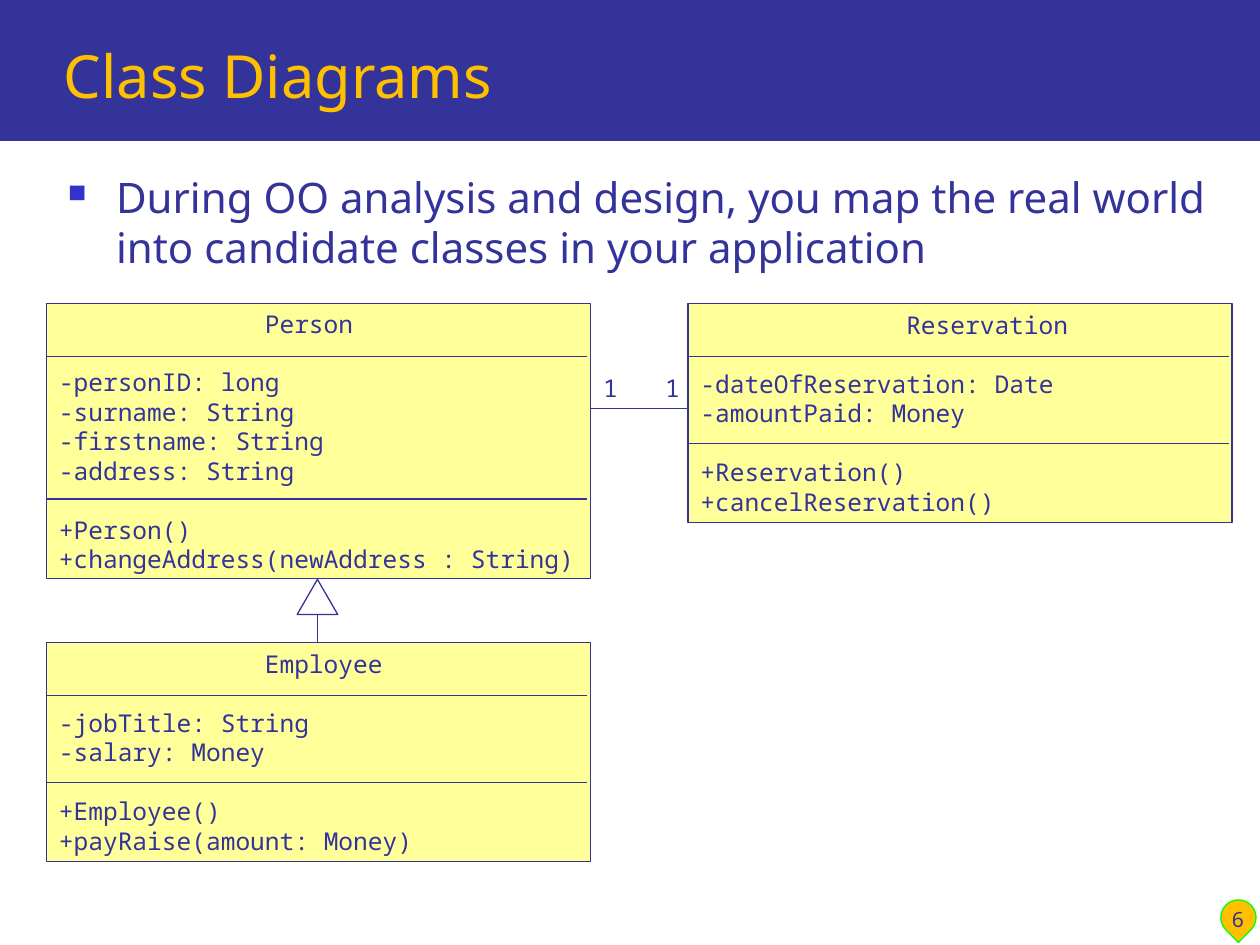
from lxml.etree import SubElement
from pptx import Presentation
from pptx.dml.color import RGBColor
from pptx.enum.shapes import MSO_CONNECTOR, MSO_SHAPE
from pptx.enum.text import MSO_ANCHOR, PP_ALIGN
from pptx.oxml.ns import qn
from pptx.util import Cm, Pt

NAVY = RGBColor(0x33, 0x33, 0x99)
BULLET_BLUE = RGBColor(0x33, 0x33, 0xCC)
GOLD = RGBColor(0xFF, 0xC0, 0x00)
GREEN = RGBColor(0x00, 0xFF, 0x00)
YELLOW = RGBColor(0xFF, 0xFF, 0x99)
WHITE = RGBColor(0xFF, 0xFF, 0xFF)

SANS = "Noto Sans"
MONO = "Noto Sans Mono"
CODE_SIZE = 14
CODE_LINE = 16.8

CLASS_WIDTH = 10.97
LEFT_COLUMN = 0.94
RIGHT_COLUMN = 13.87
TOP_ROW = 6.12
BOTTOM_ROW = 12.95
NAME_HEIGHT = 1.07
METHODS_HEIGHT = 1.6
INHERITANCE_X = 6.4


def write_paragraph(paragraph, text, font=SANS, size=CODE_SIZE, color=NAVY,
                    align=PP_ALIGN.LEFT, line=None, before=0, indent=0, hanging=0):
    """Write text into a paragraph with its format."""
    run = paragraph.add_run()
    run.text = text
    run.font.name = font
    run.font.size = Pt(size)
    run.font.color.rgb = color
    paragraph.alignment = align
    paragraph.space_before = Pt(before)
    if line:
        paragraph.line_spacing = Pt(line)
    properties = paragraph._p.get_or_add_pPr()
    properties.set("marL", str(Cm(indent)))
    properties.set("indent", str(-Cm(hanging)))


def add_bullet(paragraph, character, color, percent):
    """Give a paragraph a coloured bullet."""
    properties = paragraph._p.get_or_add_pPr()
    bullet_color = SubElement(properties, qn("a:buClr"))
    SubElement(bullet_color, qn("a:srgbClr"), val=str(color))
    SubElement(properties, qn("a:buSzPct"), val=str(percent * 1000))
    SubElement(properties, qn("a:buChar"), char=character)


def add_text(slide, left, top, width, height, text,
             anchor=MSO_ANCHOR.TOP, wrap=True, **text_format):
    """Add a text box and return its paragraph."""
    box = slide.shapes.add_textbox(Cm(left), Cm(top), Cm(width), Cm(height))
    box.text_frame.word_wrap = wrap
    box.text_frame.vertical_anchor = anchor
    paragraph = box.text_frame.paragraphs[0]
    write_paragraph(paragraph, text, **text_format)
    return paragraph


def add_box(slide, kind, left, top, width, height, fill, outline=None):
    """Add a filled preset shape, with a thin outline if wanted."""
    shape = slide.shapes.add_shape(kind, Cm(left), Cm(top), Cm(width), Cm(height))
    shape.shadow.inherit = False
    shape.fill.solid()
    shape.fill.fore_color.rgb = fill
    if outline is None:
        shape.line.fill.background()
    else:
        shape.line.color.rgb = outline
        shape.line.width = Pt(0.75)
    return shape


def add_line(slide, x1, y1, x2, y2):
    """Add a thin straight line."""
    connector = slide.shapes.add_connector(
        MSO_CONNECTOR.STRAIGHT, Cm(x1), Cm(y1), Cm(x2), Cm(y2))
    connector.line.color.rgb = NAVY
    connector.line.width = Pt(0.75)
    SubElement(connector._element.spPr, qn("a:effectLst"))


def add_class(slide, left, top, name, attributes, methods):
    """Add a class box with name, attributes and methods."""
    methods_offset = 1.7 + 0.56 * len(attributes)
    box = add_box(slide, MSO_SHAPE.RECTANGLE, left, top, CLASS_WIDTH,
                  methods_offset + METHODS_HEIGHT, YELLOW, NAVY)
    frame = box.text_frame
    frame.word_wrap = True
    frame.vertical_anchor = MSO_ANCHOR.MIDDLE
    write_paragraph(frame.paragraphs[0], name, font=MONO, line=CODE_LINE, indent=4.15)
    for members in (attributes, methods):
        for index, member in enumerate(members):
            write_paragraph(frame.add_paragraph(), member, font=MONO, line=CODE_LINE,
                            before=CODE_LINE if index == 0 else 0)
    for offset in (NAME_HEIGHT, methods_offset):
        add_line(slide, left, top + offset, left + CLASS_WIDTH - 0.07, top + offset)


def add_header(slide):
    """Add the title band and the title."""
    add_box(slide, MSO_SHAPE.RECTANGLE, 0, 0, 25.4, 2.84, NAVY)
    add_text(slide, 1.04, 0.43, 23.75, 1.93, "Class Diagrams",
             anchor=MSO_ANCHOR.BOTTOM, size=34, color=GOLD)


def add_page_number(slide, number):
    """Add the page number on its drop."""
    drop = add_box(slide, MSO_SHAPE.TEAR, 24.61, 18.14, 0.71, 0.71, GOLD, GREEN)
    drop.rotation = 134.9
    add_text(slide, 24.23, 17.63, 1.45, 1.27, number,
             anchor=MSO_ANCHOR.BOTTOM, size=12, align=PP_ALIGN.CENTER)


def add_association(slide):
    """Add the one-to-one line between Person and Reservation."""
    add_line(slide, LEFT_COLUMN + CLASS_WIDTH, 8.23, RIGHT_COLUMN, 8.23)
    for left in (11.91, 13.16):
        add_text(slide, left, 7.39, 0.81, 0.84, "1", wrap=False, font=MONO, line=CODE_LINE)


def add_inheritance(slide):
    """Add the hollow arrow from Employee up to Person."""
    add_line(slide, INHERITANCE_X, 12.14, INHERITANCE_X, BOTTOM_ROW)
    add_box(slide, MSO_SHAPE.ISOSCELES_TRIANGLE, INHERITANCE_X - 0.41, 11.68,
            0.82, 0.71, WHITE, NAVY)


def main():
    """Build the slide and save it."""
    presentation = Presentation()
    presentation.slide_width = Cm(25.4)
    presentation.slide_height = Cm(19.05)
    slide = presentation.slides.add_slide(presentation.slide_layouts[6])

    add_header(slide)
    add_page_number(slide, "6")
    statement = add_text(
        slide, 1.12, 3.33, 23.57, 13.72,
        "During OO analysis and design, you map the real world "
        "into candidate classes in your application",
        size=24, line=28.6, indent=0.97, hanging=0.97)
    add_bullet(statement, "\u25a0", BULLET_BLUE, 60)

    add_association(slide)
    add_inheritance(slide)
    add_class(slide, LEFT_COLUMN, BOTTOM_ROW, "Employee",
              ["-jobTitle: String", "-salary: Money"],
              ["+Employee()", "+payRaise(amount: Money)"])
    add_class(slide, LEFT_COLUMN, TOP_ROW, "Person",
              ["-personID: long", "-surname: String",
               "-firstname: String", "-address: String"],
              ["+Person()", "+changeAddress(newAddress : String)"])
    add_class(slide, RIGHT_COLUMN, TOP_ROW, "Reservation",
              ["-dateOfReservation: Date", "-amountPaid: Money"],
              ["+Reservation()", "+cancelReservation()"])

    presentation.save("out.pptx")


main()
